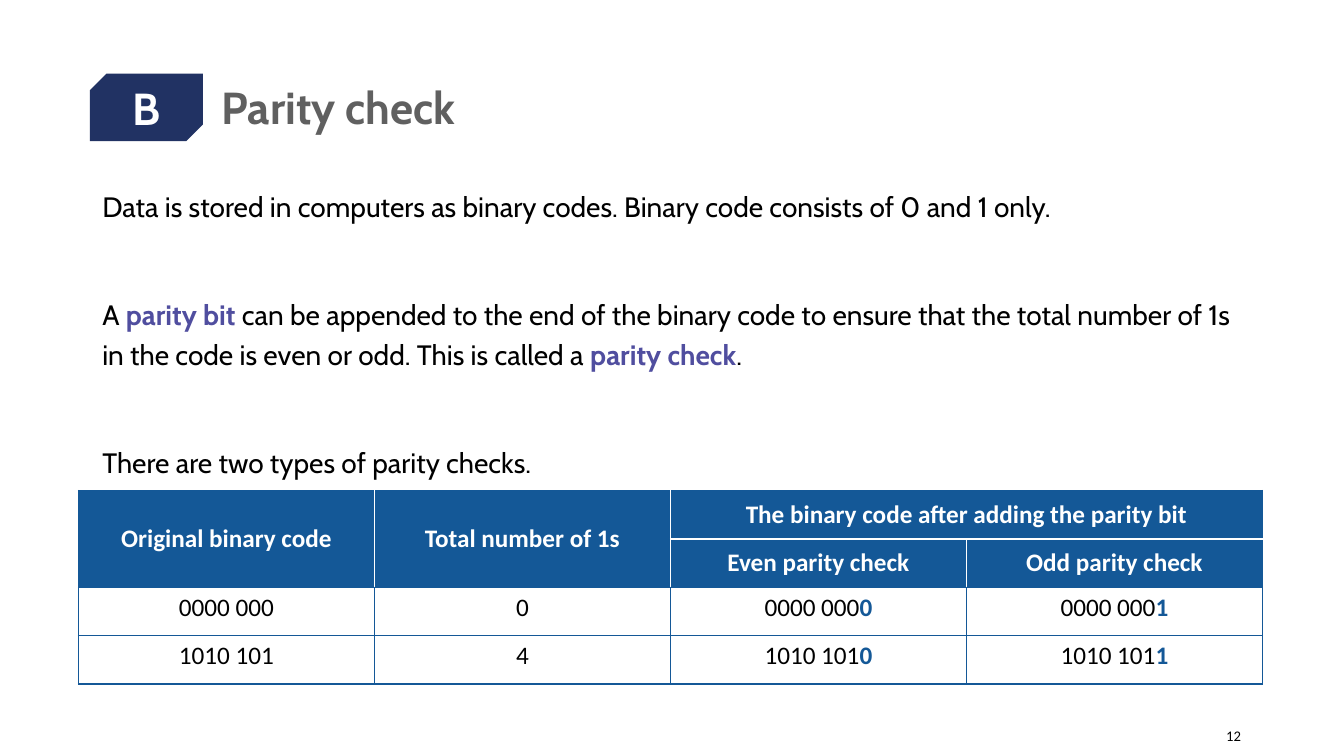
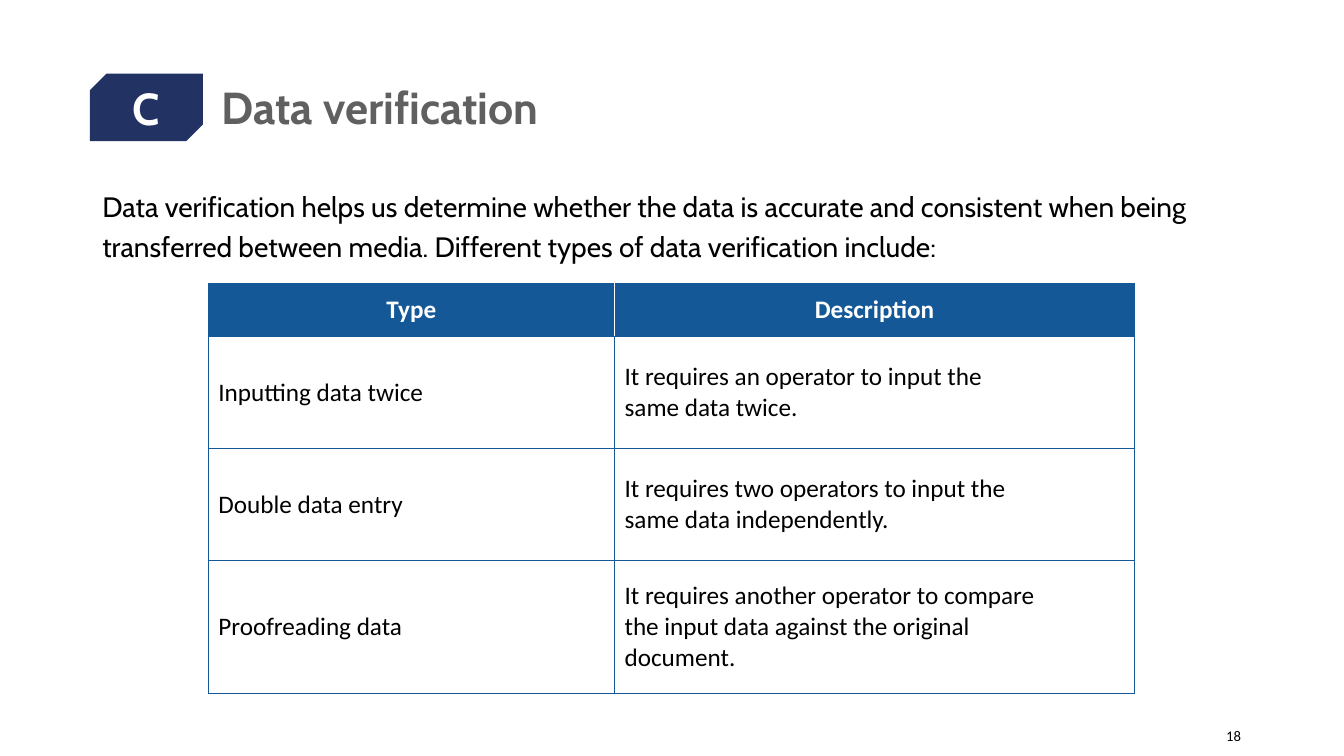
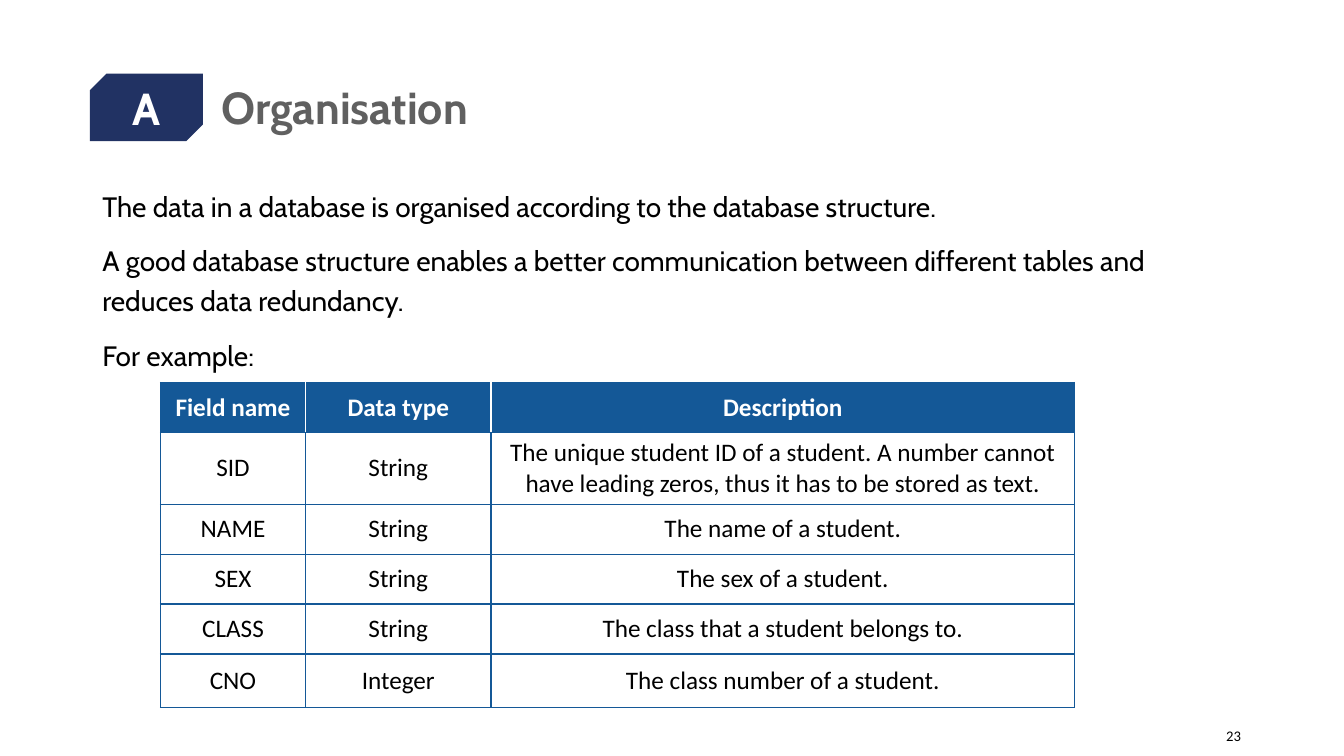
import pptx
import pptx.dml.color
import pptx.enum.shapes
import pptx.enum.text
import pptx.oxml
import pptx.oxml.ns
import pptx.util
from lxml import etree

RGBColor = pptx.dml.color.RGBColor
ALIGN = pptx.enum.text.PP_ALIGN
ANCHOR = pptx.enum.text.MSO_ANCHOR

NAVY = RGBColor(0x21, 0x32, 0x63)
BLUE = RGBColor(0x14, 0x58, 0x97)
PURPLE = RGBColor(0x50, 0x4E, 0x9F)
GREY = RGBColor(0x60, 0x60, 0x60)
BLACK = RGBColor(0, 0, 0)
WHITE = RGBColor(255, 255, 255)

HEADING_FONT = "Cabin"
TABLE_FONT = "Calibri"
COLS, ROWS = 80, 45
CELL = pptx.util.Inches(1 / 6)


def grid(*cells):
    return [round(n * CELL) for n in cells]


def set_border(cell, side, color):
    """Draw one side of a table cell; side is L, R, T or B."""
    qn = pptx.oxml.ns.qn
    ln = etree.SubElement(cell._tc.get_or_add_tcPr(), qn("a:ln" + side),
                          w=str(pptx.util.Pt(1)))
    fill = etree.SubElement(ln, qn("a:solidFill"))
    etree.SubElement(fill, qn("a:srgbClr"), val=str(color))


class Deck:
    def __init__(self):
        self.prs = pptx.Presentation()
        self.prs.slide_width, self.prs.slide_height = grid(COLS, ROWS)
        self.s = None

    def slide(self, letter, title, number):
        """Start a slide with its lettered badge, title and number."""
        self.s = self.prs.slides.add_slide(self.prs.slide_layouts[6])
        self.badge(letter)
        self.text([title], 12.6, 2.4, 61.92, 8.28, size=32, color=GREY,
                  bold=True, anchor=ANCHOR.MIDDLE, spacing=0.9)
        self.text([str(number)], 69.42, 42.6, 5.04, 2.4, size=10.5,
                  font=TABLE_FONT, anchor=ANCHOR.MIDDLE, align=ALIGN.RIGHT)

    def badge(self, letter):
        sp = self.s.shapes.add_shape(
            pptx.enum.shapes.MSO_SHAPE.SNIP_2_DIAG_RECTANGLE,
            *grid(5.35, 4.39, 6.72, 4.02))
        sp.adjustments[0], sp.adjustments[1] = 0.245, 0
        sp.shadow.inherit = False
        sp.fill.solid()
        sp.fill.fore_color.rgb = NAVY
        sp.line.fill.background()
        tf = sp.text_frame
        tf.margin_top = tf.margin_bottom = 0
        tf.vertical_anchor = ANCHOR.MIDDLE
        self.fill_text(tf, [letter], size=32, color=WHITE, bold=True,
                       align=ALIGN.CENTER)

    def text(self, lines, x, y, w, h, anchor=ANCHOR.TOP, **style):
        tf = self.s.shapes.add_textbox(*grid(x, y, w, h)).text_frame
        tf.word_wrap = True
        tf.vertical_anchor = anchor
        self.fill_text(tf, lines, **style)

    def body(self, lines, gap=10):
        self.text(lines, 5.5, 10.56, 69, 30.72, size=20, spacing=1.2, gap=gap)

    def fill_text(self, tf, lines, size, font=HEADING_FONT, color=BLACK,
                  bold=False, align=ALIGN.LEFT, spacing=None, gap=0,
                  accent=PURPLE):
        """Write one paragraph per line; *starred* parts are bold in the accent."""
        for i, line in enumerate(lines):
            p = tf.add_paragraph() if i else tf.paragraphs[0]
            p.alignment = align
            p.space_before = pptx.util.Pt(gap if i else 0)
            if spacing:
                p.line_spacing = spacing
            p.font.size = pptx.util.Pt(size)
            p.font.name = font
            p.font.bold = bold
            p.font.color.rgb = color
            for j, part in enumerate(line.split("*")):
                if part:
                    r = p.add_run()
                    r.text = part
                    if j % 2:
                        r.font.bold = True
                        r.font.color.rgb = accent

    def table(self, x, y, widths, heights, rows, heads=1, merges=(),
              align=ALIGN.CENTER, anchor=ANCHOR.MIDDLE):
        """Add a table with `heads` header rows; merges are (row, col, row, col)."""
        frame = self.s.shapes.add_table(
            len(heights), len(widths),
            *grid(x, y, sum(widths), sum(heights)))
        tbl = frame.table
        tbl.horz_banding = False
        for column, width in zip(tbl.columns, grid(*widths)):
            column.width = width
        for row, height in zip(tbl.rows, grid(*heights)):
            row.height = height
        for r1, c1, r2, c2 in merges:
            tbl.cell(r1, c1).merge(tbl.cell(r2, c2))
        for r, row in enumerate(rows):
            for c, value in enumerate(row):
                cell = tbl.cell(r, c)
                if cell.is_spanned:
                    continue
                head = r < heads
                r_end, c_end = r + cell.span_height, c + cell.span_width
                inner = {"L": c > 0, "R": c_end < len(widths),
                         "T": r > 0, "B": r_end < heads}
                for i in range(r, r_end):
                    for j in range(c, c_end):
                        part = tbl.cell(i, j)
                        for side, inside in inner.items():
                            set_border(part, side,
                                       WHITE if head and inside else BLUE)
                        if head:
                            part.fill.solid()
                            part.fill.fore_color.rgb = BLUE
                        else:
                            part.fill.background()
                cell.vertical_anchor = ANCHOR.MIDDLE if head else anchor
                self.fill_text(cell.text_frame, value.split("\n"), size=18,
                               font=TABLE_FONT, bold=head, accent=BLUE,
                               color=WHITE if head else BLACK,
                               align=ALIGN.CENTER if head else align)


def main():
    deck = Deck()

    deck.slide("B", "Parity check", 12)
    deck.body([
        "Data is stored in computers as binary codes. Binary code consists of 0 and 1 only.",
        "A *parity bit *can be appended to the end of the binary code to ensure that the "
        "total number of 1s in the code is even or odd. This is called a *parity check*.",
        "There are two types of parity checks.",
    ], gap=48.5)
    deck.table(4.67, 29.2, [17.62] * 4, [2.88] * 4, [
        ["Original binary code", "Total number of 1s",
         "The binary code after adding the parity bit", ""],
        ["", "", "Even parity check", "Odd parity check"],
        ["0000 000", "0", "0000 000*0*", "0000 000*1*"],
        ["1010 101", "4", "1010 101*0*", "1010 101*1*"],
    ], heads=2, merges=[(0, 0, 1, 0), (0, 1, 1, 1), (0, 2, 0, 3)],
        anchor=ANCHOR.TOP)

    deck.slide("C", "Data verification", 18)
    deck.body([
        "Data verification helps us determine whether the data is accurate and consistent "
        "when being transferred between media. Different types of data verification include:",
    ])
    deck.table(12.4, 16.88, [24.18, 30.96], [3.16, 6.66, 6.66, 7.92], [
        ["Type", "Description"],
        ["Inputting data twice",
         "It requires an operator to input the\nsame data twice."],
        ["Double data entry",
         "It requires two operators to input the\nsame data independently."],
        ["Proofreading data",
         "It requires another operator to compare\n"
         "the input data against the original\ndocument."],
    ], align=ALIGN.LEFT)

    deck.slide("A", "Organisation", 23)
    deck.body([
        "The data in a database is organised according to the database structure.",
        "A good database structure enables a better communication between different "
        "tables and reduces data redundancy.",
        "For example:",
    ])
    deck.table(9.55, 22.77, [8.64, 11.04, 34.74],
               [2.97, 4.28, 2.97, 2.97, 2.97, 3.18], [
        ["Field name", "Data type", "Description"],
        ["SID", "String", "The unique student ID of a student. A number cannot "
                          "have leading zeros, thus it has to be stored as text."],
        ["NAME", "String", "The name of a student."],
        ["SEX", "String", "The sex of a student."],
        ["CLASS", "String", "The class that a student belongs to."],
        ["CNO", "Integer", "The class number of a student."],
    ])

    deck.prs.save("out.pptx")


if __name__ == "__main__":
    main()
